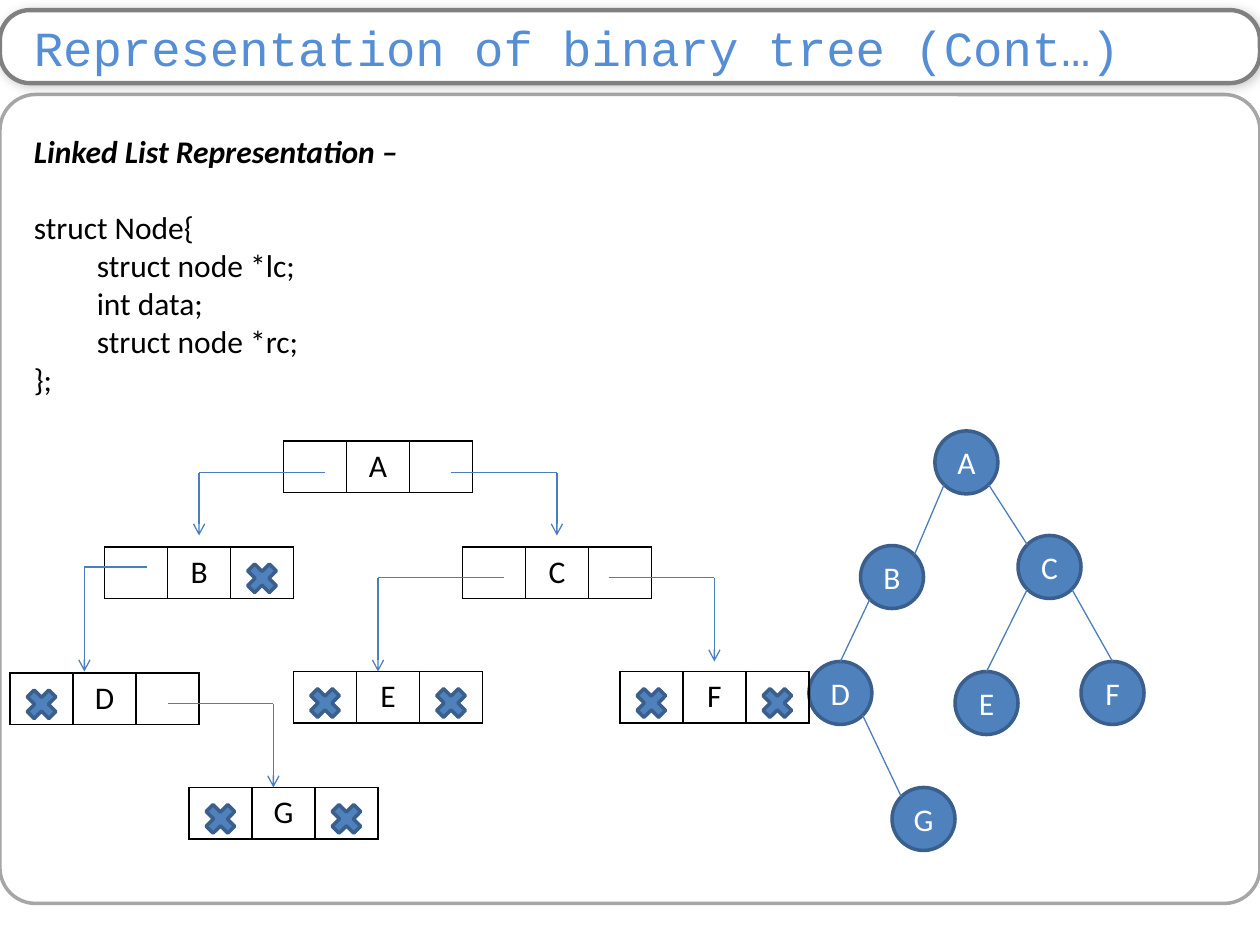
from dataclasses import dataclass
from math import sqrt

from lxml import etree
from pptx import Presentation
from pptx.dml.color import RGBColor
from pptx.enum.shapes import MSO_CONNECTOR as Connector, MSO_SHAPE as Shape
from pptx.enum.text import MSO_ANCHOR as Anchor, PP_ALIGN as Align
from pptx.oxml import parse_xml
from pptx.oxml.ns import nsdecls, qn
from pptx.util import Inches, Pt

BLACK = RGBColor(0x00, 0x00, 0x00)
WHITE = RGBColor(0xFF, 0xFF, 0xFF)
TITLE_BLUE = RGBColor(0x55, 0x8E, 0xD5)
NODE_BLUE = RGBColor(0x4F, 0x81, 0xBD)
NODE_EDGE = RGBColor(0x3A, 0x5F, 0x8C)
LINK_BLUE = RGBColor(0x4B, 0x7E, 0xBC)
FRAME_GRAY = RGBColor(0xA6, 0xA6, 0xA6)
TITLE_GRAY = RGBColor(0x80, 0x80, 0x80)

NODE_SIZE = 0.5
CELL_WIDTH, CELL_HEIGHT = 0.5, 0.41
CROSS_SIZE, CROSS_INSET = 0.33, 0.085


@dataclass
class TreeNode:
    name: str
    left: float
    top: float


@dataclass
class Edge:
    parent: str
    child: str
    side: int  # -1 goes down to the left, 1 to the right
    to_top: bool = False  # ends at the top of the child, else at its near corner


@dataclass
class Record:
    name: str
    left: float
    top: float
    null_cells: tuple = ()


@dataclass
class Link:
    start_x: float
    end_x: float
    top: float
    bottom: float


TREE = [
    TreeNode("A", 7.42, 3.42), TreeNode("C", 8.08, 4.25),
    TreeNode("B", 6.83, 4.33), TreeNode("F", 8.58, 5.25),
    TreeNode("E", 7.58, 5.33), TreeNode("D", 6.42, 5.25),
    TreeNode("G", 7.08, 6.25),
]
EDGES = [
    Edge("A", "B", -1), Edge("A", "C", 1), Edge("B", "D", -1, True),
    Edge("D", "G", 1), Edge("C", "F", 1, True), Edge("C", "E", -1, True),
]
RECORDS = [
    Record("A", 2.25, 3.5), Record("C", 3.67, 4.34),
    Record("B", 0.83, 4.34, (2,)), Record("D", 0.08, 5.34, (0,)),
    Record("G", 1.5, 6.25, (0, 2)), Record("E", 2.33, 5.33, (0, 2)),
    Record("F", 4.92, 5.33, (0, 2)),
]
LINKS = [
    Link(2.58, 1.58, 3.75, 4.25), Link(3.58, 4.42, 3.75, 4.25),
    Link(1.17, 0.67, 4.5, 5.33), Link(4, 3, 4.585, 5.33),
    Link(4.83, 5.67, 4.585, 5.25), Link(1.33, 2.17, 5.585, 6.25),
]
CODE = ["struct Node{", "\tstruct node *lc;", "\tint data;", "\tstruct node *rc;", "};"]


def set_font(para, color: RGBColor, size: float = 18, name: str = "Calibri") -> None:
    para.font.name = name
    para.font.size = Pt(size)
    para.font.color.rgb = color


def add_shape(page, kind, left: float, top: float, width: float, height: float,
              line: RGBColor = NODE_EDGE, line_width: float = 2, fill=NODE_BLUE):
    shape = page.shapes.add_shape(kind, Inches(left), Inches(top), Inches(width), Inches(height))
    shape.shadow.inherit = False
    if fill is None:
        shape.fill.background()
    else:
        shape.fill.solid()
        shape.fill.fore_color.rgb = fill
    shape.line.color.rgb = line
    shape.line.width = Pt(line_width)
    return shape


def add_line(page, x1: float, y1: float, x2: float, y2: float, arrow: bool = False) -> None:
    line = page.shapes.add_connector(
        Connector.STRAIGHT, Inches(x1), Inches(y1), Inches(x2), Inches(y2))
    line.line.color.rgb = LINK_BLUE
    line.line.width = Pt(0.75)
    if arrow:
        etree.SubElement(line.line._get_or_add_ln(), qn("a:tailEnd"), type="arrow")
    etree.SubElement(line._element.spPr, qn("a:effectLst"))


def add_title(page, text: str) -> None:
    box = add_shape(page, Shape.ROUNDED_RECTANGLE, 0, 0.08, 10, 0.58, TITLE_GRAY, 2.5, WHITE)
    box.adjustments[0] = 0.409
    effects = box._element.spPr.find(qn("a:effectLst"))
    effects.append(parse_xml(
        f'<a:outerShdw {nsdecls("a")} blurRad="{Pt(6)}" dist="{Pt(1)}" dir="2700000">'
        '<a:srgbClr val="000000"><a:alpha val="20000"/></a:srgbClr></a:outerShdw>'))
    frame = box.text_frame
    frame.margin_left, frame.margin_right = Inches(0.2), Inches(0.1)
    frame.margin_top = frame.margin_bottom = 0
    frame.vertical_anchor = Anchor.MIDDLE
    para = frame.paragraphs[0]
    para.text = text
    para.alignment = Align.LEFT
    set_font(para, TITLE_BLUE, 28, "Courier New")


def add_code(page, heading: str, lines: list[str]) -> None:
    box = page.shapes.add_textbox(Inches(0.17), Inches(1), Inches(9.67), Inches(3.13))
    frame = box.text_frame
    frame.word_wrap = True
    para = frame.paragraphs[0]
    para.text = heading
    set_font(para, BLACK)
    para.font.bold = para.font.italic = True
    for index, line in enumerate(lines):
        para = frame.add_paragraph()
        para.text = line
        set_font(para, BLACK)
        if index == 0:
            para.space_before = Pt(22)


def add_tree_node(page, node: TreeNode) -> None:
    circle = add_shape(page, Shape.OVAL, node.left, node.top, NODE_SIZE, NODE_SIZE)
    circle.text_frame.vertical_anchor = Anchor.MIDDLE
    para = circle.text_frame.paragraphs[0]
    para.text = node.name
    para.alignment = Align.CENTER
    set_font(para, WHITE)


def add_edge(page, edge: Edge, nodes: dict[str, TreeNode]) -> None:
    parent, child = nodes[edge.parent], nodes[edge.child]
    radius = NODE_SIZE / 2
    corner = radius / sqrt(2)
    end_dx, end_dy = (0, radius) if edge.to_top else (edge.side * corner, corner)
    add_line(page, parent.left + radius + edge.side * corner, parent.top + radius + corner,
             child.left + radius - end_dx, child.top + radius - end_dy)


def add_record(page, record: Record) -> None:
    table = page.shapes.add_table(
        1, 3, Inches(record.left), Inches(record.top),
        Inches(3 * CELL_WIDTH), Inches(CELL_HEIGHT)).table
    table.first_row = table.horz_banding = False
    for cell in table.iter_cells():
        for side in ("lnL", "lnR", "lnT", "lnB"):
            cell._tc.get_or_add_tcPr().append(parse_xml(
                f'<a:{side} {nsdecls("a")} w="{Pt(1)}"><a:solidFill>'
                f'<a:srgbClr val="{BLACK}"/></a:solidFill></a:{side}>'))
        cell.fill.background()
    para = table.cell(0, 1).text_frame.paragraphs[0]
    para.text = record.name
    para.alignment = Align.CENTER
    set_font(para, BLACK)


def add_link(page, link: Link) -> None:
    add_line(page, link.start_x, link.top, link.end_x, link.top)
    add_line(page, link.end_x, link.top, link.end_x, link.bottom, arrow=True)


def main() -> None:
    deck = Presentation()
    deck.slide_width, deck.slide_height = Inches(10), Inches(7.5)
    page = deck.slides.add_slide(deck.slide_layouts[6])

    # Frame, title and code
    frame = add_shape(page, Shape.ROUNDED_RECTANGLE, 0, 0.75, 10, 6.42, FRAME_GRAY, fill=None)
    frame.adjustments[0] = 0.044
    add_title(page, "Representation of binary tree (Cont…)")
    add_code(page, "Linked List Representation –", CODE)

    # Binary tree
    for node in TREE:
        add_tree_node(page, node)
    nodes = {node.name: node for node in TREE}
    for edge in EDGES:
        add_edge(page, edge, nodes)

    # Linked records, with a cross for each null pointer
    for record in RECORDS:
        add_record(page, record)
    for link in LINKS:
        add_link(page, link)
    for record in RECORDS:
        for column in record.null_cells:
            add_shape(page, Shape.MATH_MULTIPLY, record.left + column * CELL_WIDTH + CROSS_INSET,
                      record.top + CROSS_INSET, CROSS_SIZE, CROSS_SIZE)

    deck.save("out.pptx")


if __name__ == "__main__":
    main()
